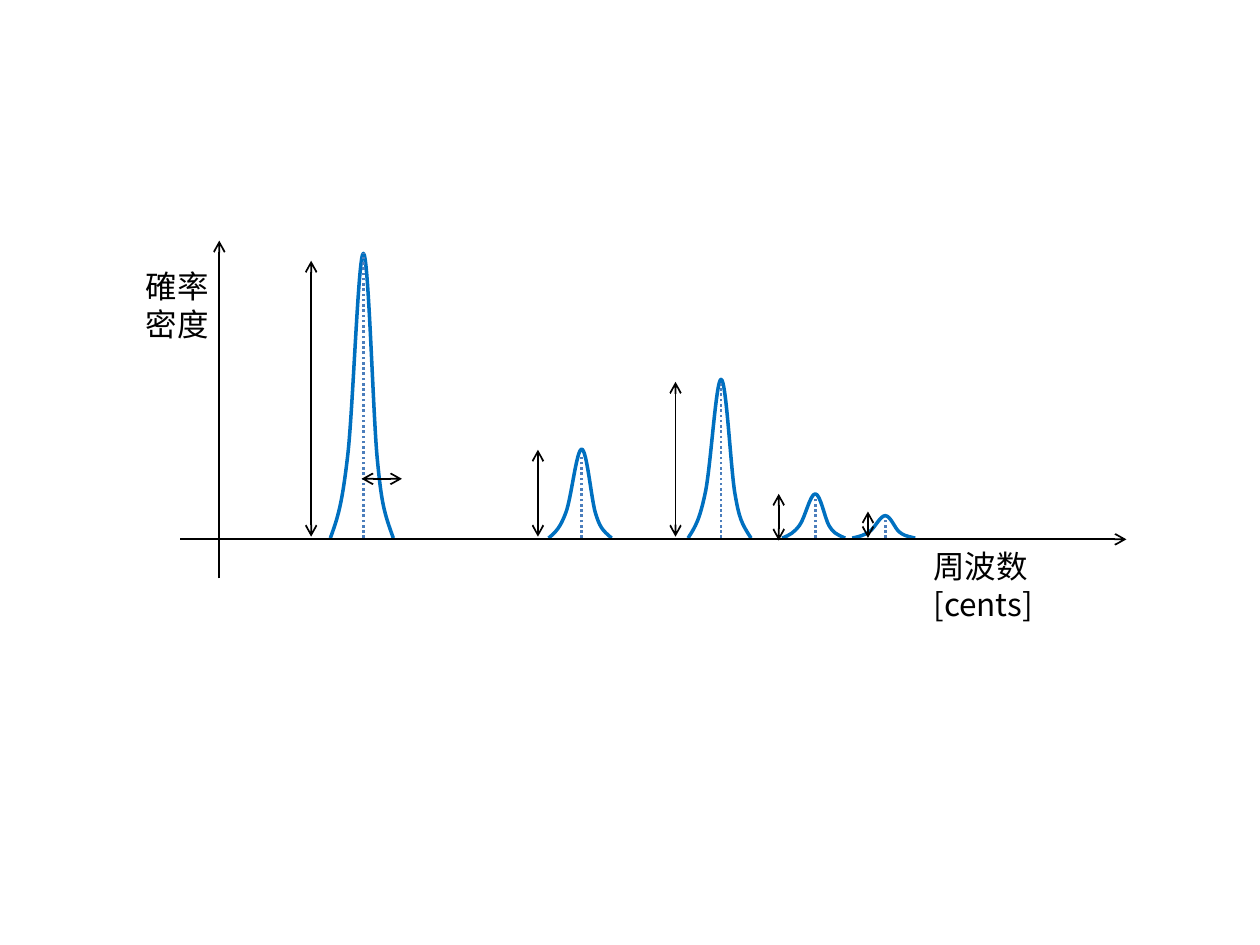
from lxml.etree import SubElement as Sub
from pptx import Presentation
from pptx.dml.color import RGBColor as Rgb
from pptx.enum.dml import MSO_LINE as Dash
from pptx.enum.shapes import MSO_CONNECTOR as Conn
from pptx.oxml.ns import qn
from pptx.util import Pt

COLORS = {"ink": "000000", "curve": "0070C0", "dots": "4B7EBC"}
BASE = 307.5
MID = 18.9
BELL = [
    (0, 0), (4.5, 0.075), (6.7, 0.12), (9.9, 0.288), (13, 0.45),
    (16, 1), (MID, 1), (21.8, 1), (24.3, 0.455), (26.7, 0.288),
    (29.2, 0.124), (30.5, 0.093), (36, 0),
]
PEAKS = [
    (188.8, 162.7, 144.7),
    (313.5, 50.8, 261.4),
    (393.2, 90.7, 218.2),
    (447, 25.3, 283.7),
    (487, 12.8, 295.9),
]
SPANS = [
    (177.8, 306.7, 149),
    (307.4, 306.7, 257),
    (386, 306.7, 218.2),
    (445, 308.9, 282.2),
    (496, 307.4, 292.3),
]


class Sketch:
    font = "Noto Sans CJK JP"
    size = 18

    def __init__(self, slide):
        self.shapes = slide.shapes

    def stroke(self, line, color, width):
        line.color.rgb = Rgb.from_string(COLORS[color])
        line.width = Pt(width)

    def line(self, start, end, color="ink", width=1, dash=None, heads=()):
        ends = [Pt(n) for n in (*start, *end)]
        shape = self.shapes.add_connector(Conn.STRAIGHT, *ends)
        self.stroke(shape.line, color, width)
        if dash:
            shape.line.dash_style = dash
        ln = shape.line._get_or_add_ln()
        for head in heads:
            Sub(ln, qn(f"a:{head}End"), type="arrow")
        Sub(shape._element.spPr, qn("a:effectLst"))

    def bell(self, left, height):
        dots = [(Pt(left + x), Pt(BASE - height * y)) for x, y in BELL]
        pen = self.shapes.build_freeform(*dots[0], scale=1.0)
        pen.add_line_segments(dots[1:], close=False)
        shape = pen.convert_to_shape()
        shape.shadow.inherit = False
        shape.fill.background()
        self.stroke(shape.line, "curve", 2)
        route = next(shape._element.iter(qn("a:path")))
        steps = route.findall(qn("a:lnTo"))
        for i in range(0, len(steps), 3):
            curve = Sub(route, qn("a:cubicBezTo"))
            for step in steps[i:i + 3]:
                curve.append(step[0])
                route.remove(step)

    def text(self, left, top, width, height, rows):
        box = self.shapes.add_textbox(Pt(left), Pt(top), Pt(width), Pt(height))
        frame = box.text_frame
        frame.word_wrap = True
        frame.text = "\n".join(rows)
        for para in frame.paragraphs:
            font = para.font
            font.size = Pt(self.size)
            font.name = self.font
            font.color.rgb = Rgb.from_string(COLORS["ink"])
            Sub(para._p.pPr.find(qn("a:defRPr")), qn("a:ea"), typeface=self.font)


def main():
    deck = Presentation()
    deck.slide_width, deck.slide_height = Pt(720), Pt(540)
    art = Sketch(deck.slides.add_slide(deck.slide_layouts[6]))

    art.line((125.3, 330.5), (125.3, 137.5), heads=["tail"])
    for left, height, top in PEAKS:
        art.bell(left, height)
    for left, height, top in PEAKS:
        mid = left + MID
        art.line((mid, BASE), (mid, top), "dots", 1.5, Dash.ROUND_DOT)
    art.line((103, 308.2), (643.7, 308.2), heads=["tail"])

    art.text(76.3, 149, 52, 51, ["確率", "密度"])
    art.text(526.3, 308.9, 122, 29, ["周波数 [cents]"])

    both = ["head", "tail"]
    art.line((206.6, 273.6), (229.7, 273.6), heads=both)
    for x, low, top in SPANS:
        art.line((x, low), (x, top), heads=both)

    deck.save("out.pptx")


if __name__ == "__main__":
    main()
